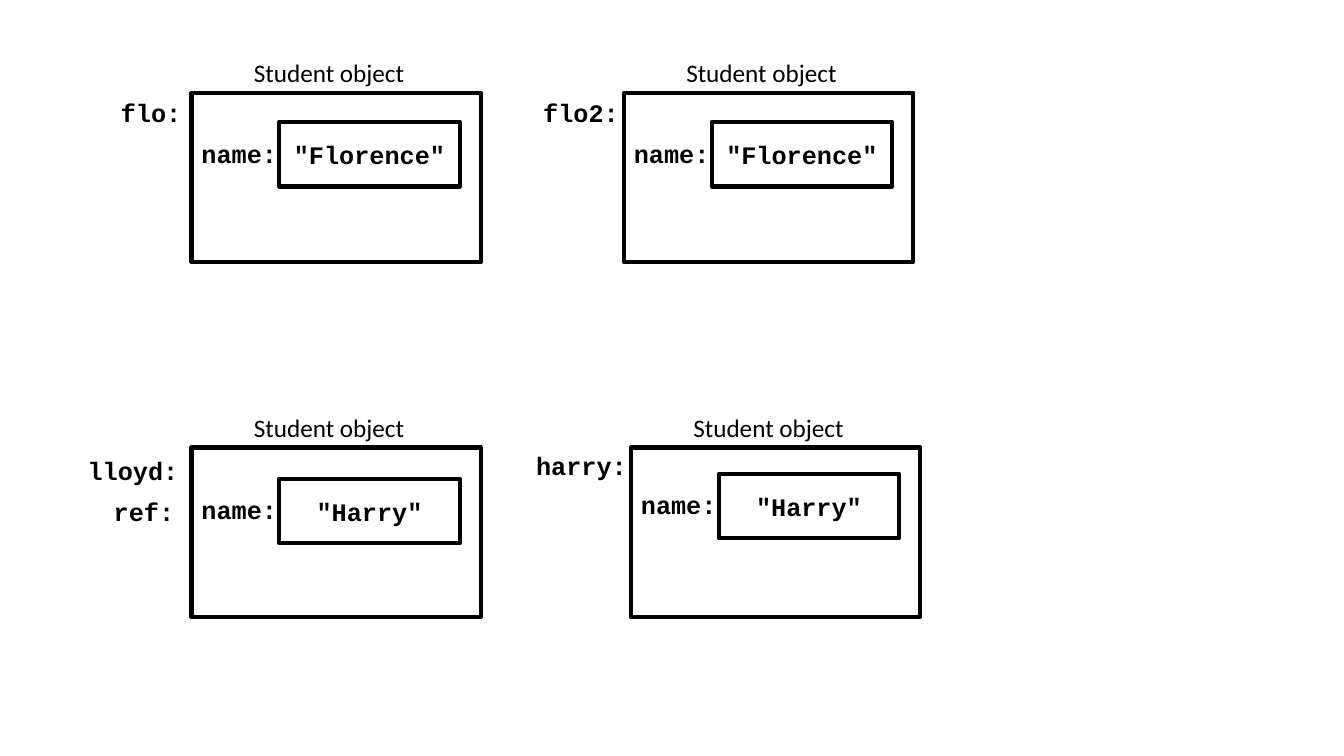
import pptx
import pptx.util
import pptx.dml.color
import pptx.enum.shapes
import pptx.enum.text

BLACK = pptx.dml.color.RGBColor(0, 0, 0)
CELL = pptx.util.Inches(0.1)  # grid of 133.3 columns by 75 rows
CODE = {"name": "Courier New", "bold": True}
PLAIN = {"name": "Calibri", "bold": False}

deck = pptx.Presentation()
deck.slide_width = round(133.33 * CELL)
deck.slide_height = 75 * CELL
slide = deck.slides.add_slide(deck.slide_layouts[6])


def write(shape, text, style):
    frame = shape.text_frame
    frame.text = text
    font = frame.paragraphs[0].font
    for key, value in {"size": pptx.util.Pt(18), **style}.items():
        setattr(font, key, value)
    font.color.rgb = BLACK


def place(kind, col, row, wide, high, text="", style=CODE):
    """Add a "label" or a "frame" at a grid position."""
    area = [round(n * CELL) for n in (col, row, wide, high)]
    if kind == "label":
        shape = slide.shapes.add_textbox(*area)
        shape.text_frame.word_wrap = False
        shape.text_frame.auto_size = pptx.enum.text.MSO_AUTO_SIZE.SHAPE_TO_FIT_TEXT
    else:
        shape = slide.shapes.add_shape(pptx.enum.shapes.MSO_SHAPE.RECTANGLE, *area)
        shape.shadow.inherit = False
        shape.fill.background()
        shape.line.color.rgb = BLACK
        shape.line.width = pptx.util.Pt(3)
        shape.text_frame.vertical_anchor = pptx.enum.text.MSO_ANCHOR.MIDDLE
    if text:
        write(shape, text, style)
    if kind == "frame":
        shape.text_frame.paragraphs[0].alignment = pptx.enum.text.PP_ALIGN.CENTER


# Column and row of each object, drop of its field, value, and its variables
# as (text, column, row, width)
students = [
    (19, 9.2, 2.9, '"Florence"', [("flo:", 11, 9.2, 8.1)]),
    (61.9, 9.2, 2.9, '"Florence"', [("flo2:", 52.9, 9.2, 9.6)]),
    (19, 44.4, 3.1, '"Harry"', [("lloyd:", 7.7, 44.7, 11.1), ("ref:", 10.3, 48.7, 8.1)]),
    (62.6, 44.4, 2.6, '"Harry"', [("harry:", 52.2, 44.2, 11.1)]),
]

for col, row, drop, value, names in students:
    for text, left, top, wide in names:
        place("label", left, top, wide, 4, text)
    place("label", col, row + drop + 1.1, 9.6, 4, "name:")
    place("frame", col, row, 28.7, 16.8)
    place("frame", col + 8.7, row + drop, 17.9, 6.4, value)
    place("label", col + 5.2, row - 4, 17.1, 4, "Student object", PLAIN)

deck.save("out.pptx")
